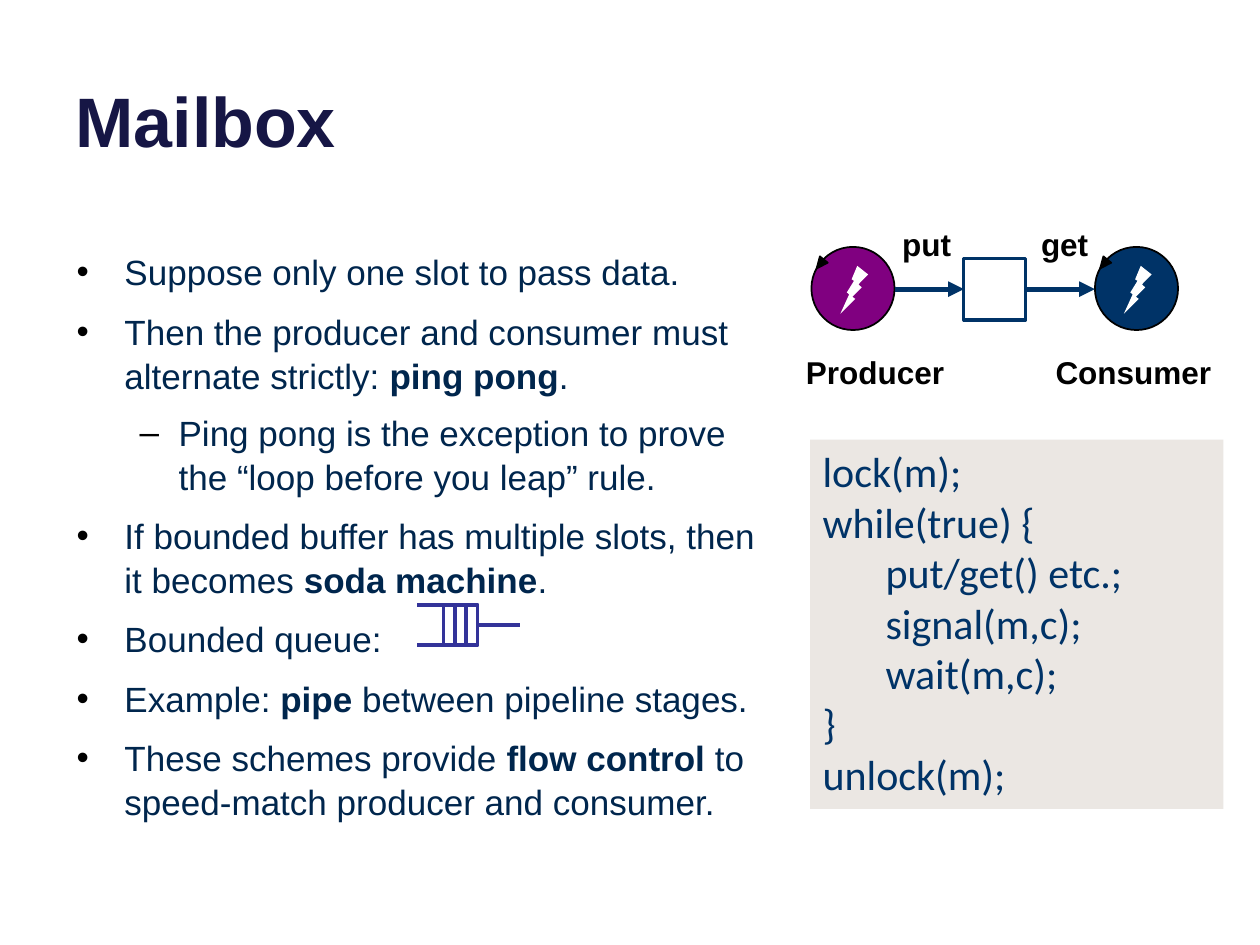
from dataclasses import dataclass

from lxml.etree import SubElement as Sub
from pptx import Presentation
from pptx.dml.color import RGBColor as RGB
from pptx.enum.shapes import MSO_CONNECTOR as Conn, MSO_SHAPE as Shape
from pptx.enum.text import MSO_ANCHOR as Anchor, PP_ALIGN as Align
from pptx.oxml.ns import qn
from pptx.util import Inches, Pt


@dataclass(frozen=True)
class Theme:
    """Colours, fonts and type sizes of the deck."""
    title: str = "161645"
    body: str = "00264D"
    navy: str = "003367"
    purple: str = "800080"
    queue: str = "333399"
    panel: str = "EBE7E3"
    black: str = "000000"
    white: str = "FFFFFF"
    font: str = "Arial"
    code_font: str = "Calibri"
    title_size: float = 40
    body_size: float = 20
    label_size: float = 18
    code_size: float = 24


@dataclass(frozen=True)
class Box:
    """A region in grid cells of a tenth of an inch."""
    col: float
    row: float
    cols: float
    rows: float

    def inner(self, col, row, cols, rows):
        """Return a box placed relative to this one."""
        return Box(self.col + col, self.row + row, cols, rows)

    def emu(self):
        """Return left, top, width and height as lengths."""
        return [Inches(v / 10) for v in (self.col, self.row, self.cols, self.rows)]


T = Theme()
BULLETS = {0: ("•", 0.38, 0.38, 9), 1: ("–", 0.81, 0.31, 8)}
POINTS = [
    (0, "Suppose only one slot to pass data."),
    (0, "Then the producer and consumer must alternate strictly: *ping pong*."),
    (1, "Ping pong is the exception to prove the “loop before you leap” rule."),
    (0, "If bounded buffer has multiple slots, then it becomes *soda machine*."),
    (0, "Bounded queue:"),
    (0, "Example: *pipe *between pipeline stages."),
    (0, "These schemes provide *flow control *to speed-match producer and consumer."),
]
CODE = ["lock(m);", "while(true) {", "\tput/get() etc.;", "\tsignal(m,c);",
        "\twait(m,c);", "}", "unlock(m);"]


def style(r, size, color, bold=False, font=T.font):
    """Format one run."""
    r.font.name, r.font.size, r.font.bold = font, Pt(size), bold
    r.font.color.rgb = RGB.from_string(color)


def add_shape(shapes, kind, box, fill=None, line=None, width=1):
    """Add a flat preset shape."""
    sp = shapes.add_shape(kind, *box.emu())
    sp.shadow.inherit = False
    if fill:
        sp.fill.solid()
        sp.fill.fore_color.rgb = RGB.from_string(fill)
    else:
        sp.fill.background()
    if line:
        sp.line.color.rgb = RGB.from_string(line)
        sp.line.width = Pt(width)
    else:
        sp.line.fill.background()
    return sp


def add_line(shapes, box, color, width, begin=None, end=None, arrow=False):
    """Add a flat connector, joined to the right of begin or the left of end."""
    x, y, w, h = box.emu()
    c = shapes.add_connector(Conn.STRAIGHT, x, y, x + w, y + h)
    c.line.color.rgb = RGB.from_string(color)
    c.line.width = Pt(width)
    if begin is not None:
        c.begin_connect(begin, 3)
    if end is not None:
        c.end_connect(end, 1)
    pr = c._element.spPr
    if arrow:
        Sub(pr.find(qn("a:ln")), qn("a:tailEnd"), type="triangle")
    Sub(pr, qn("a:effectLst"))


def add_label(shapes, box, text):
    """Add a bold centred caption."""
    tf = shapes.add_textbox(*box.emu()).text_frame
    tf.word_wrap = False
    p = tf.paragraphs[0]
    p.text, p.alignment = text, Align.CENTER
    style(p.runs[0], T.label_size, T.black, True)


def add_title(slide, box, text):
    """Place and format the title placeholder."""
    sp = slide.shapes.title
    sp.left, sp.top, sp.width, sp.height = box.emu()
    tf = sp.text_frame
    tf.text, tf.vertical_anchor = text, Anchor.BOTTOM
    p = tf.paragraphs[0]
    p.alignment = Align.LEFT
    style(p.runs[0], T.title_size, T.title, True)


def add_points(shapes, box, points):
    """Add the bulleted list, with bold pieces between asterisks."""
    tf = shapes.add_textbox(*box.emu()).text_frame
    tf.word_wrap = True
    for i, (level, text) in enumerate(points):
        p = tf.add_paragraph() if i else tf.paragraphs[0]
        char, left, hang, before = BULLETS[level]
        p.level, p.line_spacing, p.space_before = level, 1.04, Pt(before)
        pr = p._p.get_or_add_pPr()
        pr.set("marL", str(Inches(left)))
        pr.set("indent", str(-Inches(hang)))
        Sub(Sub(pr, qn("a:buClr")), qn("a:srgbClr"), val=T.black)
        Sub(pr, qn("a:buFont"), typeface=T.font)
        Sub(pr, qn("a:buChar"), char=char)
        for k, piece in enumerate(text.split("*")):
            r = p.add_run()
            r.text = piece
            style(r, T.body_size, T.body, k % 2 == 1)


def add_thread(shapes, box, color):
    """Add a thread symbol: disc, bolt and arrowhead."""
    g = shapes.add_group_shape().shapes
    add_shape(g, Shape.OVAL, box, color, T.black)
    bolt = add_shape(g, Shape.LIGHTNING_BOLT, box.inner(2.3, 1.5, 2.2, 3.8), T.white)
    bolt._element.spPr.xfrm.set("flipH", "1")
    head = add_shape(g, Shape.ISOSCELES_TRIANGLE, box.inner(0.3, 0.9, 0.8, 0.9),
                     T.black, T.black)
    head.rotation = 219


def add_exchange(shapes, box):
    """Add the producer, the slot and the consumer."""
    add_thread(shapes, box.inner(1.5, 2.2, 6.6, 6.6), T.purple)
    add_thread(shapes, box.inner(24, 2.2, 6.6, 6.6), T.navy)
    slot = add_shape(shapes, Shape.RECTANGLE, box.inner(13.6, 3.1, 4.9, 4.9),
                     line=T.navy, width=1.75)
    add_line(shapes, box.inner(8.1, 5.55, 5.5, 0), T.navy, 3, end=slot, arrow=True)
    add_line(shapes, box.inner(18.5, 5.55, 5.5, 0), T.navy, 3, begin=slot, arrow=True)
    for text, col, row, cols in (("Producer", 0, 10.1, 13.1), ("Consumer", 19.8, 10.1, 14.5),
                                 ("put", 7.7, 0, 5.9), ("get", 18.7, 0, 5.8)):
        add_label(shapes, box.inner(col, row, cols, 4), text)


def add_code(shapes, box, lines):
    """Add the code panel."""
    sp = add_shape(shapes, Shape.RECTANGLE, box, T.panel)
    tf = sp.text_frame
    tf.word_wrap, tf.vertical_anchor = True, Anchor.TOP
    for i, text in enumerate(lines):
        p = tf.add_paragraph() if i else tf.paragraphs[0]
        p.text, p.alignment = text, Align.LEFT
        tabs = Sub(p._p.get_or_add_pPr(), qn("a:tabLst"))
        Sub(tabs, qn("a:tab"), pos=str(Inches(0.5)), algn="l")
        style(p.runs[0], T.code_size, T.navy, font=T.code_font)


def add_queue(shapes, box):
    """Add the bounded queue symbol."""
    g = shapes.add_group_shape().shapes
    for i in range(3):
        cell = add_shape(g, Shape.RECTANGLE, box.inner(2.1 + 0.9 * i, 0, 0.9, box.rows),
                         T.white, T.queue, 2.25)
    for row in (0, box.rows):
        add_line(g, box.inner(0, row, 2.1, 0), T.queue, 2.25)
    add_line(g, box.inner(4.8, box.rows / 2, 3.4, 0), T.queue, 2.25, begin=cell)


def main():
    """Build and save the slide."""
    prs = Presentation()
    prs.slide_width, prs.slide_height = Inches(10), Inches(7.5)
    slide = prs.slides.add_slide(prs.slide_layouts[5])
    add_title(slide, Box(5, -3.7, 90, 17), "Mailbox")
    add_points(slide.shapes, Box(5.1, 19.3, 56, 45), POINTS)
    add_exchange(slide.shapes, Box(62.9, 17.4, 34.3, 14.1))
    add_code(slide.shapes, Box(64.3, 34.9, 32.8, 29.3), CODE)
    add_queue(slide.shapes, Box(33.1, 48, 8.2, 3.2))
    prs.save("out.pptx")


if __name__ == "__main__":
    main()
